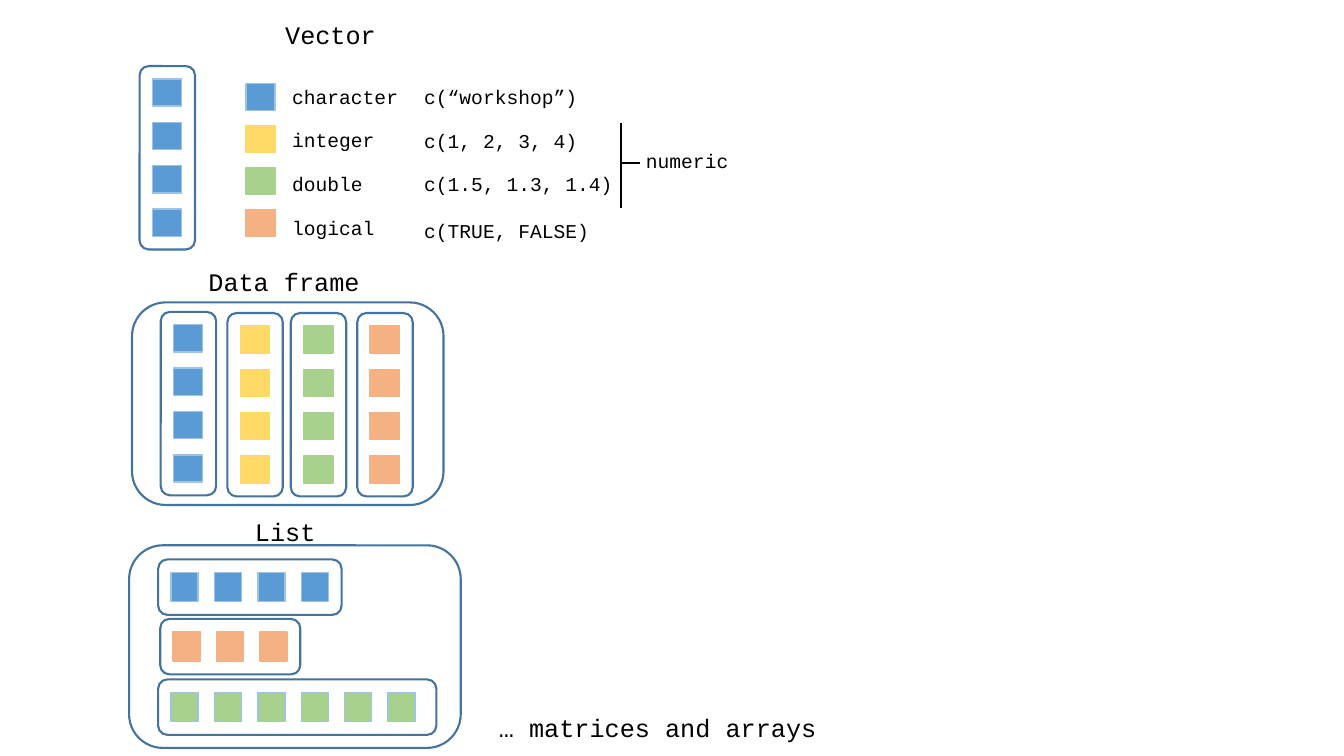
"""Build a slide on the basic R data structures: vector, data frame and list."""
from dataclasses import dataclass

from lxml import etree
from pptx import Presentation
from pptx import util as u
from pptx.dml.color import RGBColor
from pptx.enum import shapes, text
from pptx.oxml import ns
from pptx.shapes.autoshape import Shape
from pptx.slide import Slide

FONT = "Courier New"
BLACK = RGBColor(0x00, 0x00, 0x00)
OUTLINE = RGBColor(0x43, 0x73, 0x9E)
PALE_BLUE = RGBColor(0x9D, 0xC3, 0xE6)
BLUE = RGBColor(0x5B, 0x9B, 0xD5)
YELLOW = RGBColor(0xFF, 0xD9, 0x66)
GREEN = RGBColor(0xA9, 0xD1, 0x8E)
ORANGE = RGBColor(0xF4, 0xB1, 0x83)

HEADING_SIZE, LABEL_SIZE = 18, 14
CELL_LONG, CELL_SHORT = 20.9, 19.4
CELL_PITCH = 31
CAPSULE_THICKNESS = 39.6
CAPSULE_EXTRA = 7
INSET = 9.2
LABEL_WIDTH = 141.1


@dataclass(frozen=True)
class Kind:
    fill: RGBColor
    edge: RGBColor


@dataclass(frozen=True)
class Capsule:
    left: float
    top: float
    kind: Kind
    count: int = 4
    upright: bool = True
    slack: float = 0


@dataclass(frozen=True)
class Frame:
    left: float
    top: float
    width: float
    height: float = 144.7


@dataclass(frozen=True)
class Label:
    wording: str
    left: float
    top: float
    width: float = LABEL_WIDTH
    size: int = LABEL_SIZE


@dataclass(frozen=True)
class LegendEntry:
    kind: Kind
    name: str
    call: str
    call_top: float
    call_width: float = LABEL_WIDTH


@dataclass(frozen=True)
class Rule:
    start: tuple[float, float]
    end: tuple[float, float]


CHARACTER = Kind(BLUE, PALE_BLUE)
INTEGER = Kind(YELLOW, YELLOW)
DOUBLE = Kind(GREEN, GREEN)
LOGICAL = Kind(ORANGE, ORANGE)
LIST_DOUBLE = Kind(GREEN, PALE_BLUE)

LEGEND_LEFT, LEGEND_TOP, LEGEND_PITCH = 175.7, 59.8, 30
NAME_LEFT, NAME_TOP, NAME_PITCH = 201.6, 56.9, 31.2
CALL_LEFT = 295.9

LEGEND = [
    LegendEntry(CHARACTER, "character", "c(“workshop”)", 56.9, 273.6),
    LegendEntry(INTEGER, "integer", "c(1, 2, 3, 4)", 88.6),
    LegendEntry(DOUBLE, "double", "c(1.5, 1.3, 1.4)", 119.5, 182.2),
    LegendEntry(LOGICAL, "logical", "c(TRUE, FALSE)", 152.6),
]

CAPSULES = [
    Capsule(99.7, 47.2, CHARACTER),
    Capsule(114.8, 222.8, CHARACTER),
    Capsule(162.4, 223.6, INTEGER),
    Capsule(207.7, 223.6, DOUBLE),
    Capsule(255.2, 223.6, LOGICAL),
    Capsule(113, 399.6, CHARACTER, upright=False),
    Capsule(114.5, 442.1, LOGICAL, count=3, upright=False),
    Capsule(113, 485.3, LIST_DOUBLE, count=6, upright=False, slack=5.7),
]

FRAMES = [Frame(94.3, 216, 222.5), Frame(92.2, 389.5, 236.9)]

LABELS = [
    Label("Vector", 196.6, 10.1, size=HEADING_SIZE),
    Label("Data frame", 141.8, 186.5, size=HEADING_SIZE),
    Label("List", 175, 365, size=HEADING_SIZE),
    Label("… matrices and arrays", 349.2, 505.4, 262.8, HEADING_SIZE),
    Label("numeric", 454.3, 103),
]

BRACKET = [
    Rule((443.5, 87.8), (443.5, 148.3)),
    Rule((457.2, 116.6), (444.2, 116.6)),
]


def draw_box(page: Slide, preset: shapes.MSO_SHAPE, left: float, top: float,
             width: float, height: float, edge: RGBColor, weight: float) -> Shape:
    box = page.shapes.add_shape(preset, u.Pt(left), u.Pt(top), u.Pt(width), u.Pt(height))
    box.shadow.inherit = False
    box.fill.background()
    box.line.color.rgb = edge
    box.line.width = u.Pt(weight)
    return box


def draw_cell(page: Slide, left: float, top: float, kind: Kind, upright: bool = True) -> None:
    width, height = (CELL_LONG, CELL_SHORT) if upright else (CELL_SHORT, CELL_LONG)
    cell = draw_box(page, shapes.MSO_SHAPE.RECTANGLE, left, top, width, height, kind.edge, 1)
    cell.fill.solid()
    cell.fill.fore_color.rgb = kind.fill


def draw_capsule(page: Slide, capsule: Capsule) -> None:
    length = CELL_PITCH * capsule.count + CAPSULE_EXTRA + capsule.slack
    width, height = CAPSULE_THICKNESS, length
    step_x, step_y = 0, CELL_PITCH
    if not capsule.upright:
        width, height = height, width
        step_x, step_y = step_y, step_x
    for index in range(capsule.count):
        draw_cell(page, capsule.left + INSET + index * step_x,
                  capsule.top + INSET + index * step_y, capsule.kind, capsule.upright)
    draw_box(page, shapes.MSO_SHAPE.ROUNDED_RECTANGLE, capsule.left, capsule.top,
             width, height, OUTLINE, 1.5)


def draw_frame(page: Slide, frame: Frame) -> None:
    draw_box(page, shapes.MSO_SHAPE.ROUNDED_RECTANGLE, frame.left, frame.top,
             frame.width, frame.height, OUTLINE, 1.5)


def draw_label(page: Slide, label: Label) -> None:
    height = 29.1 if label.size == HEADING_SIZE else 24.2
    box = page.shapes.add_textbox(u.Pt(label.left), u.Pt(label.top),
                                  u.Pt(label.width), u.Pt(height))
    box.text_frame.word_wrap = True
    box.text_frame.auto_size = text.MSO_AUTO_SIZE.SHAPE_TO_FIT_TEXT
    span = box.text_frame.paragraphs[0].add_run()
    span.text = label.wording
    span.font.name = FONT
    span.font.size = u.Pt(label.size)
    span.font.color.rgb = BLACK


def draw_legend_entry(page: Slide, index: int, entry: LegendEntry) -> None:
    draw_cell(page, LEGEND_LEFT, LEGEND_TOP + index * LEGEND_PITCH, entry.kind)
    draw_label(page, Label(entry.name, NAME_LEFT, NAME_TOP + index * NAME_PITCH))
    draw_label(page, Label(entry.call, CALL_LEFT, entry.call_top, entry.call_width))


def draw_rule(page: Slide, rule: Rule) -> None:
    ends = [u.Pt(value) for value in (*rule.start, *rule.end)]
    line = page.shapes.add_connector(shapes.MSO_CONNECTOR.STRAIGHT, *ends)
    line.line.color.rgb = BLACK
    line.line.width = u.Pt(1.5)
    etree.SubElement(line._element.spPr, ns.qn("a:effectLst"))


def main() -> None:
    deck = Presentation()
    deck.slide_width, deck.slide_height = u.Pt(960), u.Pt(540)
    page = deck.slides.add_slide(deck.slide_layouts.get_by_name("Blank"))
    for index, entry in enumerate(LEGEND):
        draw_legend_entry(page, index, entry)
    for capsule in CAPSULES:
        draw_capsule(page, capsule)
    for frame in FRAMES:
        draw_frame(page, frame)
    for label in LABELS:
        draw_label(page, label)
    for rule in BRACKET:
        draw_rule(page, rule)
    deck.save("out.pptx")


if __name__ == "__main__":
    main()
